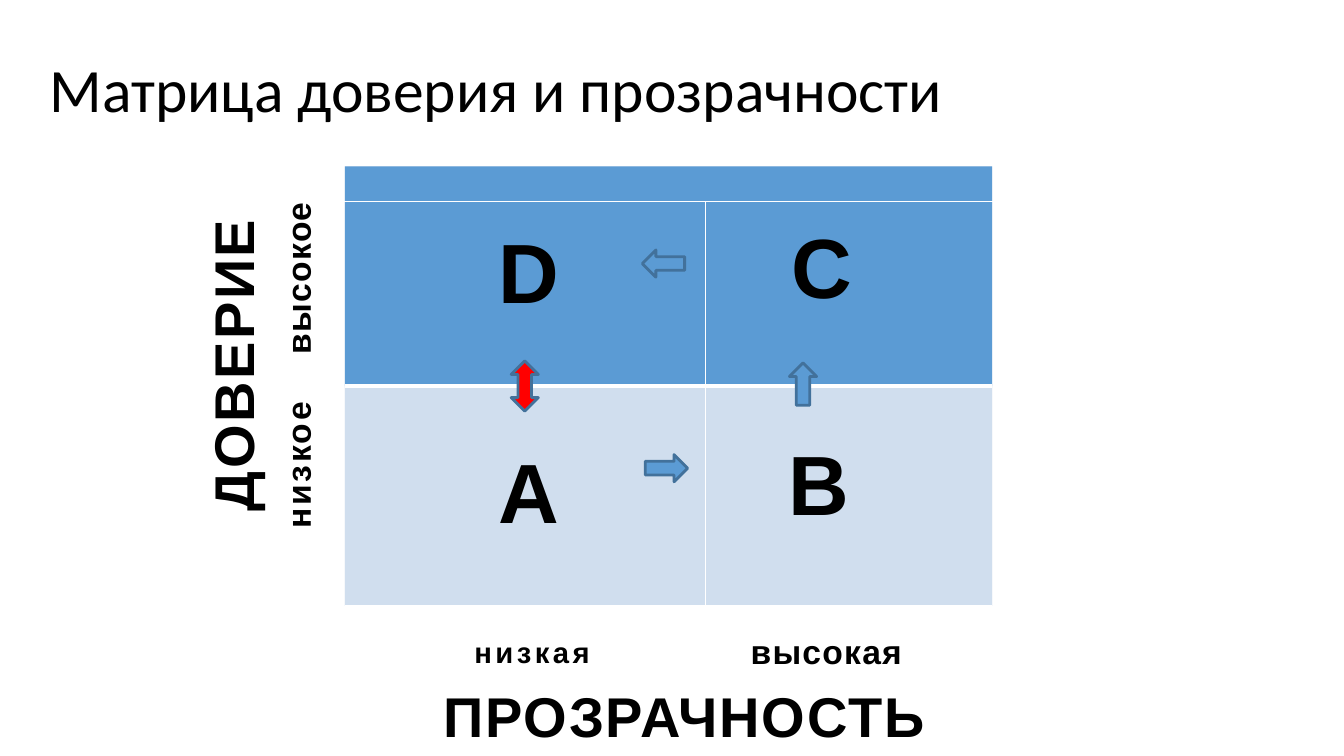
from dataclasses import dataclass

from lxml.etree import SubElement
from pptx import Presentation
from pptx.dml.color import RGBColor
from pptx.enum.shapes import MSO_CONNECTOR, MSO_SHAPE
from pptx.enum.text import MSO_ANCHOR, MSO_AUTO_SIZE, PP_ALIGN
from pptx.oxml.ns import qn
from pptx.util import Inches, Pt


@dataclass(frozen=True)
class Theme:
    """Colours, fonts and type sizes."""
    ink: str = "000000"
    base: str = "E9EEF6"
    blue: str = "5B9BD4"
    pale: str = "D0DEEE"
    edge: str = "42719B"
    red: str = "FF0000"
    white: str = "FFFFFF"
    head: str = "Calibri"
    body: str = "Arial"
    title: int = 44
    mark: int = 60
    axis: int = 40
    low: int = 36
    level: int = 24


def apply(item, form):
    """Set each format value on the item."""
    for name, value in form.items():
        setattr(item, name, value)


class Board:
    """Draws styled elements on the current slide."""

    def __init__(self, slide, theme):
        """Keep the slide and the theme."""
        self.slide, self.theme = slide, theme

    def text(self, box, top=0, **form):
        """Add an empty text box and return its frame."""
        frame = self.slide.shapes.add_textbox(*map(Inches, box)).text_frame
        base = dict(word_wrap=True, auto_size=MSO_AUTO_SIZE.SHAPE_TO_FIT_TEXT,
                    margin_left=0, margin_right=0, margin_bottom=0,
                    margin_top=Inches(top))
        apply(frame, base | form)
        return frame

    def para(self, para, left=0, tab=None, **form):
        """Format a paragraph with indent and tab stop."""
        apply(para, form)
        props = para._p.get_or_add_pPr()
        props.set("marL", str(Inches(left)))
        if tab:
            stops = SubElement(props, qn("a:tabLst"))
            SubElement(stops, qn("a:tab"), pos=str(Inches(tab)), algn="l")
        return para

    def run(self, para, words, size, gap=0, bold=True, face=None, rise=0):
        """Add a run with letter spacing and baseline shift."""
        run = para.add_run()
        run.text = words
        apply(run.font, dict(size=Pt(size), bold=bold,
                             name=face or self.theme.body))
        run.font.color.rgb = RGBColor.from_string(self.theme.ink)
        props = run._r.get_or_add_rPr()
        props.set("spc", str(round(gap * 100)))
        if rise:
            props.set("baseline", str(rise * 1000))

    def title(self, words, box):
        """Add the slide title."""
        frame = self.text(box, 0.01, vertical_anchor=MSO_ANCHOR.MIDDLE)
        para = self.para(frame.paragraphs[0], 0.01)
        self.run(para, words, self.theme.title, bold=False, face=self.theme.head)

    def mark(self, word, box, gap, left=0.08, align=PP_ALIGN.CENTER):
        """Add the letter of a quadrant."""
        para = self.para(self.text(box, 0.01).paragraphs[0], left, alignment=align)
        self.run(para, word, self.theme.mark, gap)

    def side(self, words, box, size, gap, **form):
        """Add a label that reads upwards."""
        frame = self.text(box)
        frame._txBody.bodyPr.set("vert", "vert270")
        para = self.para(frame.paragraphs[0], 0.01, **form)
        self.run(para, words, size, gap)

    def foot(self, low, high, name, box):
        """Add the two levels and the name of the lower axis."""
        frame = self.text(box, 0.06)
        levels = self.para(frame.paragraphs[0], 0.08, 2.74,
                           alignment=PP_ALIGN.CENTER)
        self.run(levels, low + "\t", self.theme.low, 2.5, rise=1)
        self.run(levels, high, self.theme.level, 0.9)
        axis = self.para(frame.add_paragraph(), alignment=PP_ALIGN.CENTER,
                         space_before=Pt(5.3))
        self.run(axis, name, self.theme.axis, 1.4)

    def shape(self, kind, box, fill, edge=None):
        """Add a filled preset shape."""
        shape = self.slide.shapes.add_shape(kind, *map(Inches, box))
        shape.shadow.inherit = False
        shape.fill.solid()
        shape.fill.fore_color.rgb = RGBColor.from_string(fill)
        if edge:
            self.rule(shape, edge, 2)
        else:
            shape.line.fill.background()

    def rule(self, item, color, width):
        """Set the line colour and width."""
        item.line.color.rgb = RGBColor.from_string(color)
        item.line.width = Pt(width)

    def line(self, ends, width):
        """Add a white grid line."""
        line = self.slide.shapes.add_connector(MSO_CONNECTOR.STRAIGHT,
                                               *map(Inches, ends))
        self.rule(line, self.theme.white, width)
        SubElement(line._element.spPr, qn("a:effectLst"))

    def frame(self, lines):
        """Add thin white lines as one outline."""
        pen = self.slide.shapes.build_freeform(scale=Inches(1))
        for x, y, right, base in lines:
            pen.move_to(x, y)
            pen.add_line_segments([(right, base)], close=False)
        shape = pen.convert_to_shape()
        shape.shadow.inherit = False
        shape.fill.background()
        self.rule(shape, self.theme.white, 1)

    def grid(self, left, top, wide, high):
        """Add two shaded rows on a base, with white lines."""
        span = 2 * wide
        right, base = left + span, top + 2 * high
        for y, tall, fill in ((top, 2 * high, self.theme.base),
                              (top, high, self.theme.blue),
                              (top + high, high, self.theme.pale)):
            self.shape(MSO_SHAPE.RECTANGLE, (left, y, span, tall), fill)
        walls = [(left + col * wide, top, left + col * wide, base)
                 for col in range(3)]
        self.frame(walls + [(left, top, right, top)])
        for y, width in ((top + high, 3), (base, 1)):
            self.line((left, y, right, y), width)


def main():
    """Build and save the slide."""
    deck = Presentation()
    apply(deck, dict(slide_width=Inches(13.33), slide_height=Inches(7.5)))
    theme = Theme()
    board = Board(deck.slides.add_slide(deck.slide_layouts[6]), theme)

    board.title("Матрица доверия и прозрачности", (0.48, 0.49, 11.5, 0.75))
    board.grid(3.42, 1.65, 3.21, 2.18)

    board.mark("A", (4.04, 4.35, 2.33, 1.03), 2.6)
    board.mark("B", (6.66, 4.27, 2, 1.02), 2.5, 1.16, PP_ALIGN.LEFT)
    board.mark("C", (6.68, 2.12, 2.63, 1.03), 0.7, 1.17, PP_ALIGN.LEFT)
    board.mark("D", (3.89, 2.17, 2.63, 1.03), 6.2)

    board.foot("низкая", "высокая", "ПРОЗРАЧНОСТЬ", (4.29, 6.03, 4.99, 1.21))
    board.side("низкое", (2.75, 3.93, 0.43, 1.32), theme.level, 1.8)
    board.side("высокое", (2.75, 1.95, 0.43, 1.58), theme.level, 1)
    board.side("ДОВЕРИЕ", (1.97, 2.11, 0.71, 2.97), theme.axis, 1.8,
               line_spacing=Pt(47.7))

    for kind, box, fill in (
        (MSO_SHAPE.UP_ARROW, (7.83, 3.6, 0.27, 0.42), theme.blue),
        (MSO_SHAPE.LEFT_ARROW, (6.37, 2.48, 0.42, 0.27), theme.blue),
        (MSO_SHAPE.RIGHT_ARROW, (6.4, 4.51, 0.42, 0.27), theme.blue),
        (MSO_SHAPE.UP_DOWN_ARROW, (5.07, 3.58, 0.27, 0.5), theme.red),
    ):
        board.shape(kind, box, fill, theme.edge)
    deck.save("out.pptx")


if __name__ == "__main__":
    main()
